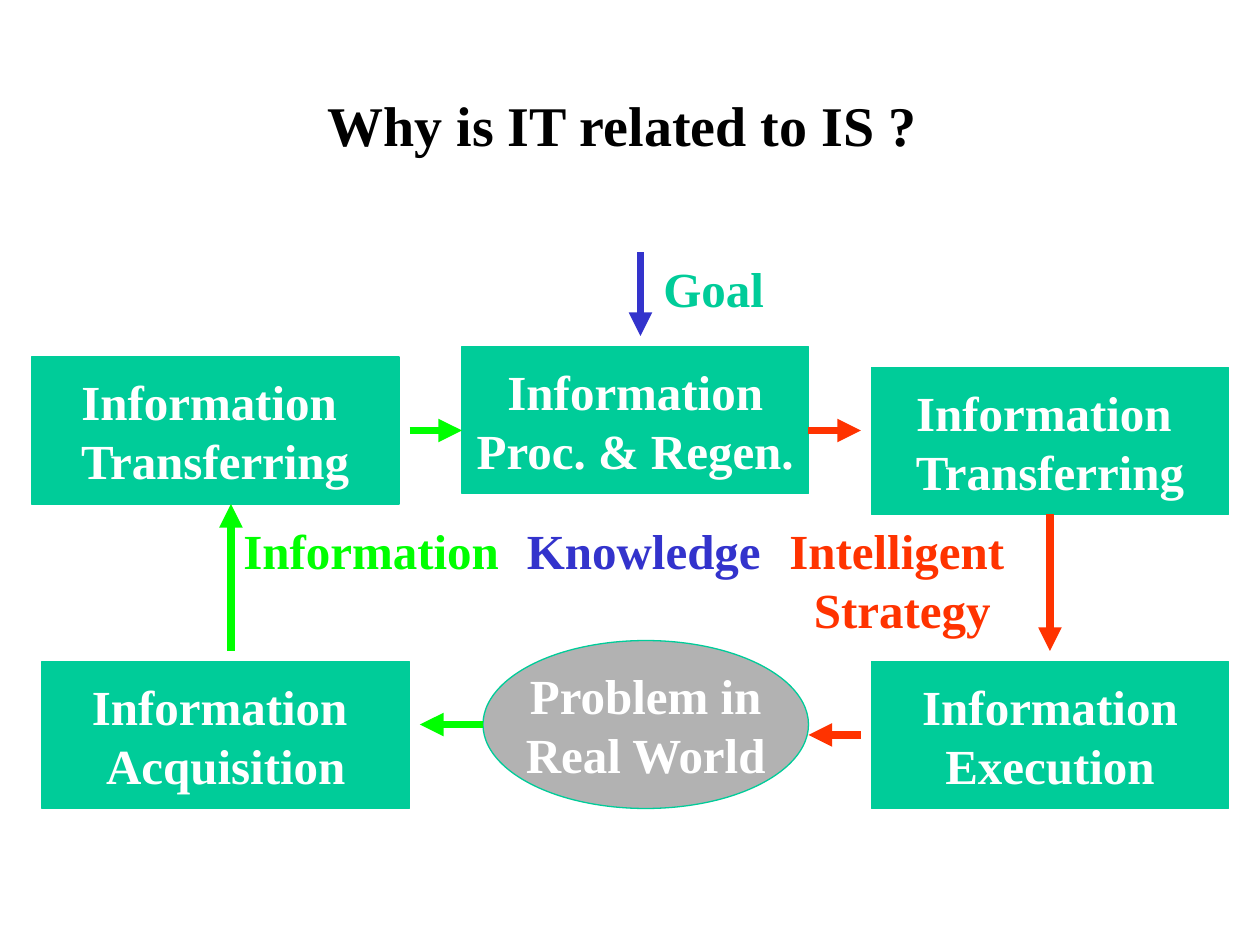
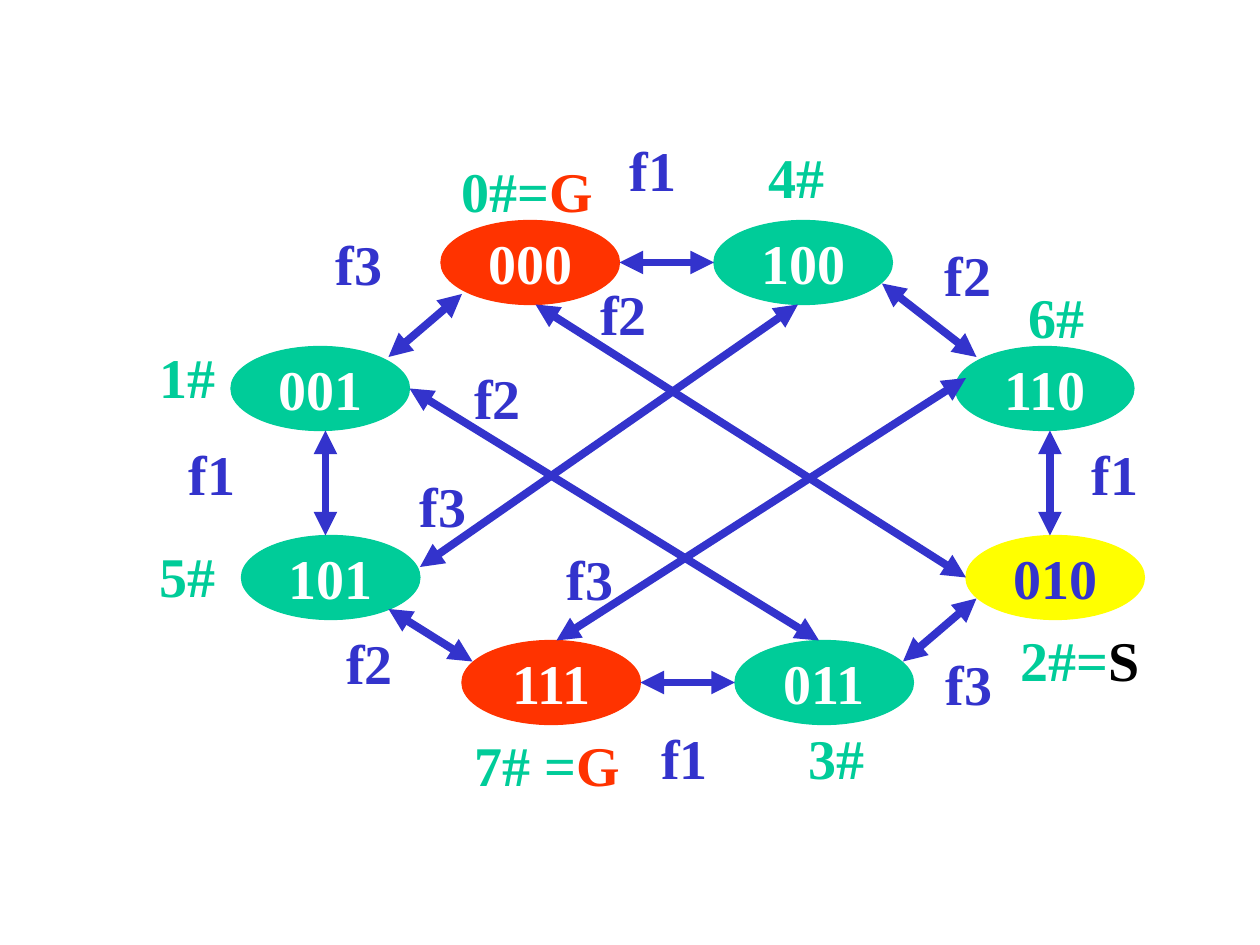
"""Build two slides: an information cycle and a state graph."""
import lxml.etree
import pptx
import pptx.dml.color
import pptx.enum.shapes
import pptx.enum.text
import pptx.oxml.ns
import pptx.util

RGBColor = pptx.dml.color.RGBColor
GREEN = RGBColor(0x00, 0xCC, 0x99)
LIME = RGBColor(0x00, 0xFF, 0x00)
RED = RGBColor(0xFF, 0x33, 0x00)
BLUE = RGBColor(0x33, 0x33, 0xCC)
GOLD = RGBColor(0xFF, 0xFF, 0x00)
GREY = RGBColor(0xB2, 0xB2, 0xB2)
WHITE = RGBColor(0xFF, 0xFF, 0xFF)
BLACK = RGBColor(0x00, 0x00, 0x00)

RECT = pptx.enum.shapes.MSO_SHAPE.RECTANGLE
OVAL = pptx.enum.shapes.MSO_SHAPE.OVAL
STRAIGHT = pptx.enum.shapes.MSO_CONNECTOR.STRAIGHT
MID = pptx.enum.text.MSO_ANCHOR.MIDDLE
GROW = pptx.enum.text.MSO_AUTO_SIZE.SHAPE_TO_FIT_TEXT
LEFT = pptx.enum.text.PP_ALIGN.LEFT
CENTER = pptx.enum.text.PP_ALIGN.CENTER
qn = pptx.oxml.ns.qn

PX = 7620
SMALL, LARGE = 28, 32
FACE = {"name": "Times New Roman", "bold": True}


def scale(*sizes):
    return [pptx.util.Emu(size * PX) for size in sizes]


def style(item, **format):
    for key, value in format.items():
        setattr(item, key, value)


def outline(line, color, width):
    line.color.rgb = color
    line.width = pptx.util.Pt(width)


def write(frame, lines, size, align):
    for row, runs in enumerate(lines):
        para = frame.paragraphs[0] if row == 0 else frame.add_paragraph()
        para.alignment = align
        for text, color in runs:
            run = para.add_run()
            run.text = text
            style(run.font, size=pptx.util.Pt(size), **FACE)
            run.font.color.rgb = color


def block(slide, kind, place, lines, size, fill=GREEN, edge=GREEN, ink=WHITE):
    shape = slide.shapes.add_shape(kind, *scale(*place))
    shape.shadow.inherit = False
    shape.fill.solid()
    shape.fill.fore_color.rgb = fill
    outline(shape.line, edge, 0.75)
    style(shape.text_frame, word_wrap=False, vertical_anchor=MID)
    write(shape.text_frame, [[(line, ink)] for line in lines], size, CENTER)


def label(slide, place, lines, size):
    box = slide.shapes.add_textbox(*scale(*place))
    style(box.text_frame, word_wrap=False, auto_size=GROW)
    write(box.text_frame, lines, size, LEFT)
    return box


def arrow(slide, ends, color, heads=("tailEnd",)):
    link = slide.shapes.add_connector(STRAIGHT, *scale(*ends))
    outline(link.line, color, 4.5)
    props = link._element.spPr
    for head in heads:
        tip = lxml.etree.SubElement(props.find(qn("a:ln")), qn("a:" + head))
        tip.set("type", "triangle")
    lxml.etree.SubElement(props, qn("a:effectLst"))


def draw_cycle(slide):
    for place, lines in (
        ((30, 340, 350, 140), ("Information ", "Transferring")),
        ((830, 350, 340, 140), ("Information ", "Transferring")),
        ((440, 330, 330, 140), ("Information", "Proc. & Regen.")),
        ((830, 630, 340, 140), ("Information", "Execution")),
        ((40, 630, 350, 140), ("Information ", "Acquisition")),
    ):
        block(slide, RECT, place, lines, SMALL)
    block(slide, OVAL, (460, 610, 310, 160), ("Problem in", "Real World"),
          SMALL, fill=GREY)

    for ends, color in (
        ((460, 690, 400, 690), LIME),
        ((220, 620, 220, 480), LIME),
        ((1000, 490, 1000, 620), RED),
        ((820, 700, 770, 700), RED),
        ((390, 410, 440, 410), LIME),
        ((770, 410, 820, 410), RED),
        ((610, 240, 610, 320), BLUE),
    ):
        arrow(slide, ends, color)

    label(slide, (300, 80, 588, 77),
          [[("Why is IT related to IS ?", BLACK)]], LARGE)
    for left, top, width, text, color in (
        (220, 490, 276, "Information", LIME),
        (490, 490, 249, "Knowledge", BLUE),
        (620, 240, 120, "Goal", GREEN),
    ):
        label(slide, (left, top, width, 68), [[(text, color)]], SMALL)
    plan = label(slide, (740, 490, 241, 125),
                 [[("Intelligent", RED)], [("Strategy", RED)]], SMALL)
    indent = plan.text_frame.paragraphs[1]._p.get_or_add_pPr()
    indent.set("marL", str(pptx.util.Pt(SMALL / 2)))


def draw_graph(slide):
    for left, top, state, fill, ink in (
        (220, 330, "001", GREEN, WHITE),
        (230, 510, "101", GREEN, WHITE),
        (440, 610, "111", RED, WHITE),
        (700, 610, "011", GREEN, WHITE),
        (920, 510, "010", GOLD, BLUE),
        (910, 330, "110", GREEN, WHITE),
        (680, 210, "100", GREEN, WHITE),
        (420, 210, "000", RED, WHITE),
    ):
        block(slide, OVAL, (left, top, 170, 80), [state], LARGE,
              fill, fill, ink)

    for ends in (
        (370, 580, 450, 630), (310, 410, 310, 510), (370, 340, 440, 280),
        (590, 250, 680, 250), (840, 270, 930, 340), (1000, 410, 1000, 510),
        (930, 570, 860, 630), (610, 650, 700, 650), (400, 540, 760, 290),
        (530, 610, 920, 360), (510, 290, 920, 550), (390, 370, 780, 610),
    ):
        arrow(slide, ends, BLUE, ("headEnd", "tailEnd"))

    for text, spots in {
        "f1": ((588, 123), (1028, 413), (618, 683), (168, 413)),
        "f2": ((888, 223), (318, 593), (560, 260), (440, 340)),
        "f3": ((308, 213), (388, 443), (528, 513), (889, 613)),
    }.items():
        for spot in spots:
            box = label(slide, (*spot, 70, 77), [[(text, BLUE)]], LARGE)
    outline(box.line, WHITE, 0.75)

    for left, top, width, *runs in (
        (960, 590, 140, ("2#=", GREEN), ("S", BLACK)),
        (440, 690, 165, ("7# =", GREEN), ("G", RED)),
        (428, 143, 151, ("0#=", GREEN), ("G", RED)),
        (140, 320, 78, ("1#", GREEN)),
        (140, 510, 78, ("5#", GREEN)),
        (758, 683, 78, ("3#", GREEN)),
        (968, 263, 78, ("6#", GREEN)),
        (720, 130, 78, ("4#", GREEN)),
    ):
        label(slide, (left, top, width, 77), [runs], LARGE)


def main():
    deck = pptx.Presentation()
    deck.slide_width, deck.slide_height = scale(1200, 900)
    for draw in (draw_cycle, draw_graph):
        draw(deck.slides.add_slide(deck.slide_layouts[6]))
    deck.save("out.pptx")


if __name__ == "__main__":
    main()
